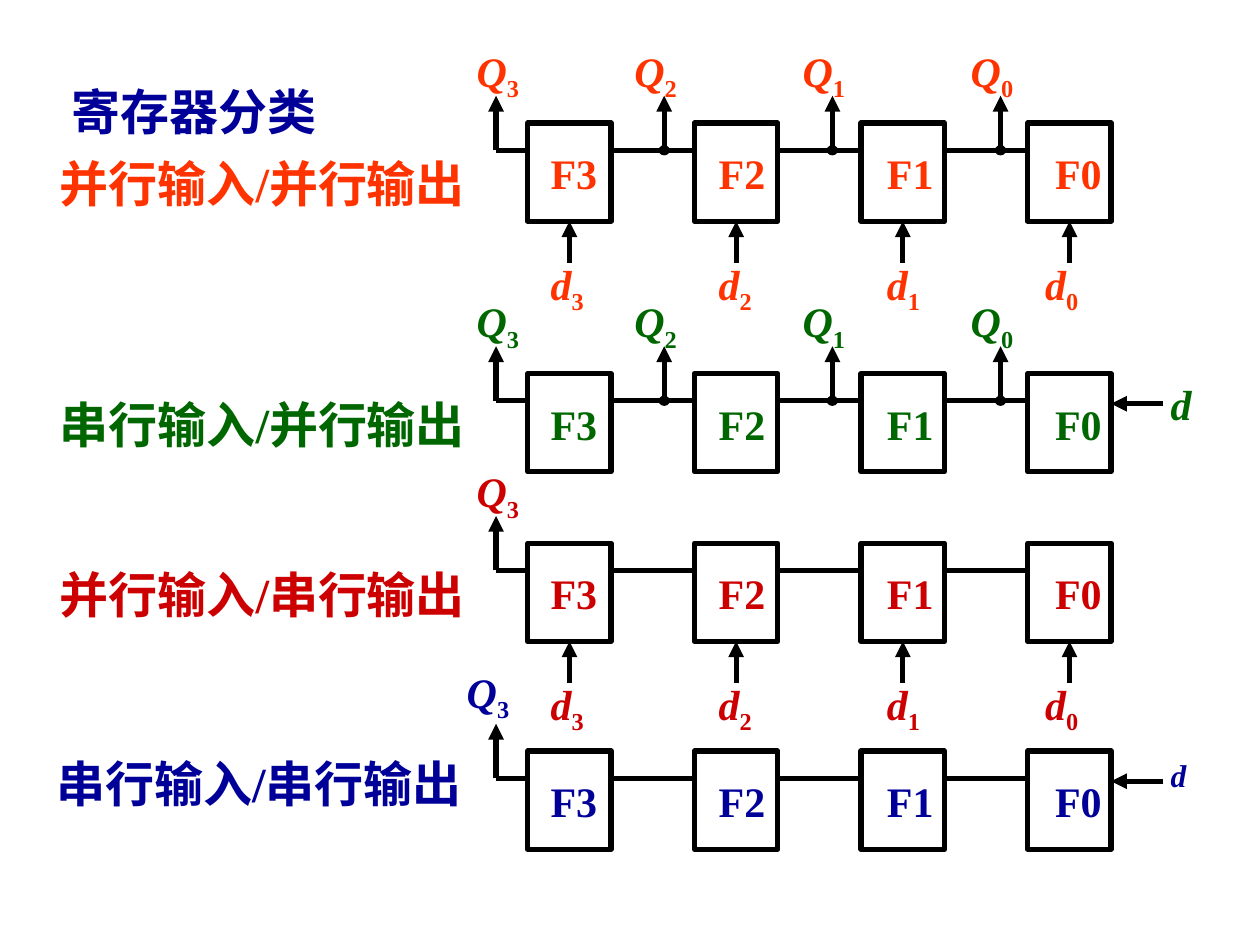
from dataclasses import dataclass

from lxml.etree import SubElement
from pptx import Presentation
from pptx.dml.color import RGBColor
from pptx.enum.shapes import MSO_CONNECTOR, MSO_SHAPE
from pptx.enum.text import MSO_ANCHOR, PP_ALIGN
from pptx.oxml.ns import qn
from pptx.util import Cm, Pt

COLORS = {
    "black": "000000",
    "navy": "000099",
    "orange": "FF3300",
    "green": "006600",
    "red": "CC0000",
}
FONT = "Times New Roman"
STAGES = 4
STAGE_W, STAGE_H, STAGE_PITCH = 1.68, 1.98, 3.36
LABEL_W, LABEL_H, LABEL_PITCH = 1.85, 1.27, 3.39
WIRE_Y, TAP_RISE, TAP_LEAD = 0.55, 1.1, 0.64
REGISTER_LEFT = 10.64


@dataclass
class Register:
    category: str
    color: str
    top: float
    category_left: float
    category_top: float
    parallel_in: bool
    parallel_out: bool
    q_shift: tuple = (0, 0)
    serial_size: int = 24


REGISTERS = [
    Register("并行输入/并行输出", "orange", 2.48, 0.91, 2.97, True, True),
    Register("串行输入/并行输出", "green", 7.53, 0.91, 7.82, False, True),
    Register("并行输入/串行输出", "red", 10.95, 0.91, 11.25, True, False),
    Register("串行输入/串行输出", "navy", 15.14, 0.84, 15.06, False, False,
             (-0.2, -0.14), 18),
]


def rgb(color):
    return RGBColor.from_string(COLORS[color])


def style(paragraph, color, size, align=PP_ALIGN.LEFT):
    paragraph.alignment = align
    paragraph.font.name = FONT
    paragraph.font.size = Pt(size)
    paragraph.font.bold = True
    paragraph.font.color.rgb = rgb(color)


def add_label(slide, left, top, text, color, subscript="", italic=False,
              size=24, width=LABEL_W, align=PP_ALIGN.LEFT):
    label = slide.shapes.add_textbox(Cm(left), Cm(top), Cm(width), Cm(LABEL_H))
    label.text_frame.word_wrap = True
    paragraph = label.text_frame.paragraphs[0]
    symbol = paragraph.add_run()
    symbol.text = text
    symbol.font.italic = italic
    if subscript:
        index = paragraph.add_run()
        index.text = subscript
        index.font.italic = False
        index.font._element.set("baseline", "-25000")
    style(paragraph, color, size, align)


def add_wire(slide, x1, y1, x2, y2, arrow=False):
    wire = slide.shapes.add_connector(
        MSO_CONNECTOR.STRAIGHT, Cm(x1), Cm(y1), Cm(x2), Cm(y2))
    wire.line.color.rgb = rgb("black")
    wire.line.width = Pt(3)
    if arrow:
        SubElement(wire.line._get_or_add_ln(), qn("a:tailEnd"), type="triangle")
    SubElement(wire._element.spPr, qn("a:effectLst"))
    return wire


def add_stage(slide, left, top):
    stage = slide.shapes.add_shape(
        MSO_SHAPE.RECTANGLE, Cm(left), Cm(top), Cm(STAGE_W), Cm(STAGE_H))
    stage.shadow.inherit = False
    stage.fill.background()
    stage.line.color.rgb = rgb("black")
    stage.line.width = Pt(3)
    return stage


def add_junction(slide, x, y):
    width, height = 0.2, 0.18
    junction = slide.shapes.add_shape(
        MSO_SHAPE.OVAL, Cm(x - width / 2), Cm(y - height / 2),
        Cm(width), Cm(height))
    junction.shadow.inherit = False
    junction.fill.solid()
    junction.fill.fore_color.rgb = rgb("black")
    junction.line.color.rgb = rgb("black")
    junction.line.width = Pt(0.75)


def add_output(slide, left, top, position, register):
    tap_x = left - TAP_LEAD + position * LABEL_PITCH
    wire_y = top + WIRE_Y
    add_wire(slide, tap_x, wire_y, tap_x, wire_y - TAP_RISE, arrow=True)
    if position:
        add_junction(slide, tap_x, wire_y)
    shift_x, shift_y = register.q_shift
    label_x = tap_x - (0.85 if position else 0.64) + shift_x
    add_label(slide, label_x, top - 1.69 + shift_y, "Q", register.color,
              str(STAGES - 1 - position), italic=True)


def add_parallel_input(slide, left, top, position, stage, color):
    x = left + position * STAGE_PITCH + STAGE_W / 2
    bottom = top + STAGE_H
    arrow = add_wire(slide, x, bottom + 0.84, x, bottom, arrow=True)
    arrow.end_connect(stage, 2)
    last_shift = 0.2 if position == STAGES - 1 else 0
    add_label(slide, left + 0.21 + position * LABEL_PITCH - last_shift,
              top + 2.6, "d", color, str(STAGES - 1 - position), italic=True)


def add_serial_input(slide, left, top, register):
    end = left + (STAGES - 1) * STAGE_PITCH + STAGE_W
    add_wire(slide, end + 1.05, top + 0.61, end, top + 0.61, arrow=True)
    add_label(slide, end + 0.95, top - 0.02, "d", register.color,
              italic=True, size=register.serial_size)


def add_register(slide, left, top, register):
    for position in range(STAGES):
        stage_left = left + position * STAGE_PITCH
        stage = add_stage(slide, stage_left, top)
        add_label(slide, left + 0.21 + position * LABEL_PITCH, top + 0.37,
                  f"F{STAGES - 1 - position}", register.color)
        lead = STAGE_PITCH - STAGE_W if position else TAP_LEAD
        add_wire(slide, stage_left - lead, top + WIRE_Y,
                 stage_left, top + WIRE_Y)
        if register.parallel_out or position == 0:
            add_output(slide, left, top, position, register)
        if register.parallel_in:
            add_parallel_input(slide, left, top, position, stage,
                               register.color)
    if not register.parallel_in:
        add_serial_input(slide, left, top, register)


def add_title(slide, left, top, width, height):
    title = slide.shapes.title
    title.left, title.top = Cm(left), Cm(top)
    title.width, title.height = Cm(width), Cm(height)
    title.text_frame.text = "寄存器分类"
    title.text_frame.vertical_anchor = MSO_ANCHOR.TOP
    title.text_frame.word_wrap = True
    style(title.text_frame.paragraphs[0], "navy", 28, PP_ALIGN.CENTER)


def main():
    presentation = Presentation()
    presentation.slide_width, presentation.slide_height = Cm(25.4), Cm(19.05)
    slide = presentation.slides.add_slide(presentation.slide_layouts[5])
    add_title(slide, 0.64, 1.52, 6.55, 1.45)
    for register in REGISTERS:
        add_label(slide, register.category_left, register.category_top,
                  register.category, register.color, size=28, width=8.76,
                  align=PP_ALIGN.CENTER)
        add_register(slide, REGISTER_LEFT, register.top, register)
    presentation.save("out.pptx")


if __name__ == "__main__":
    main()
